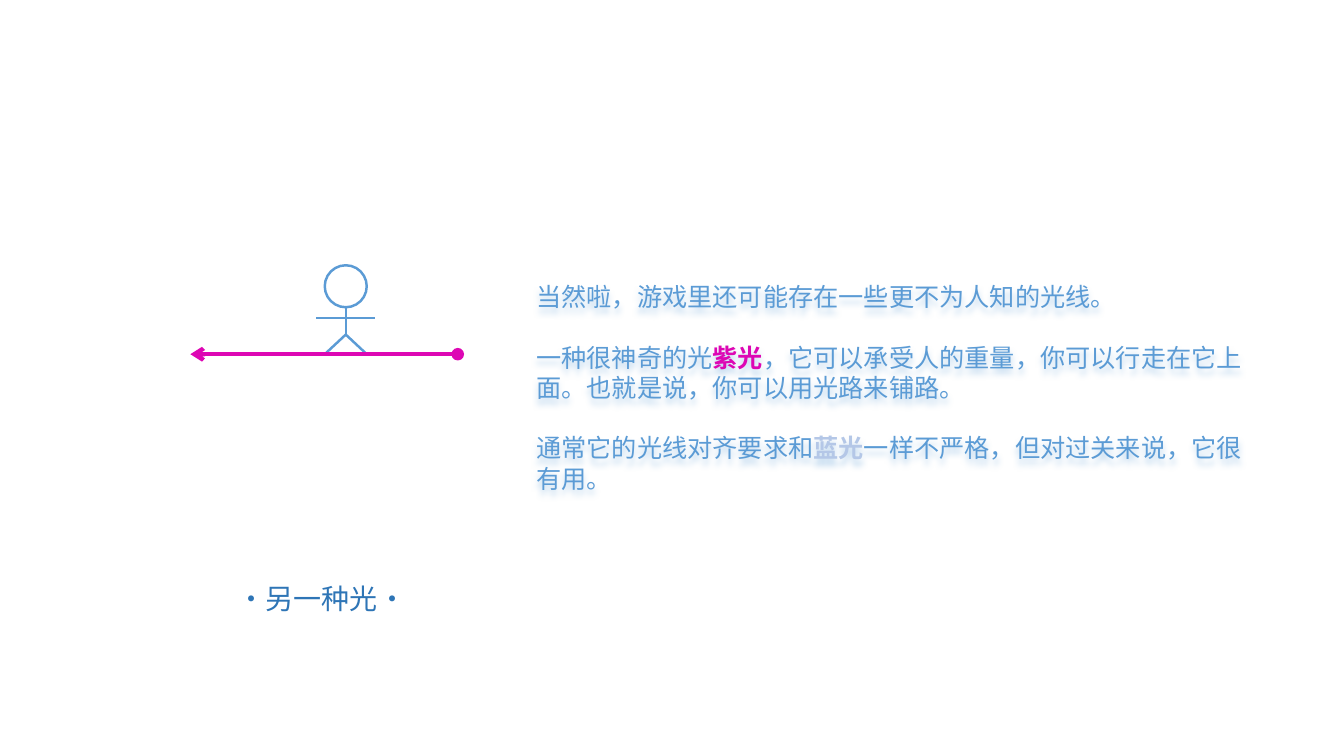
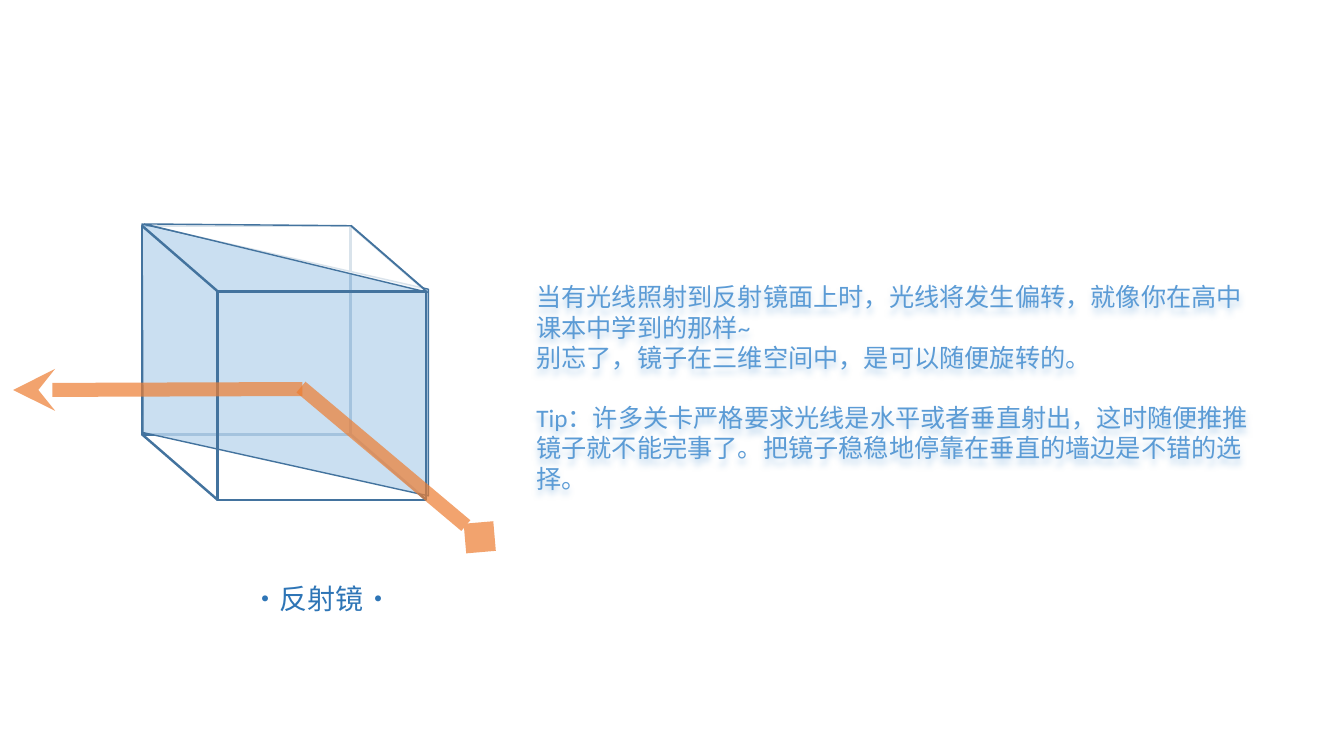
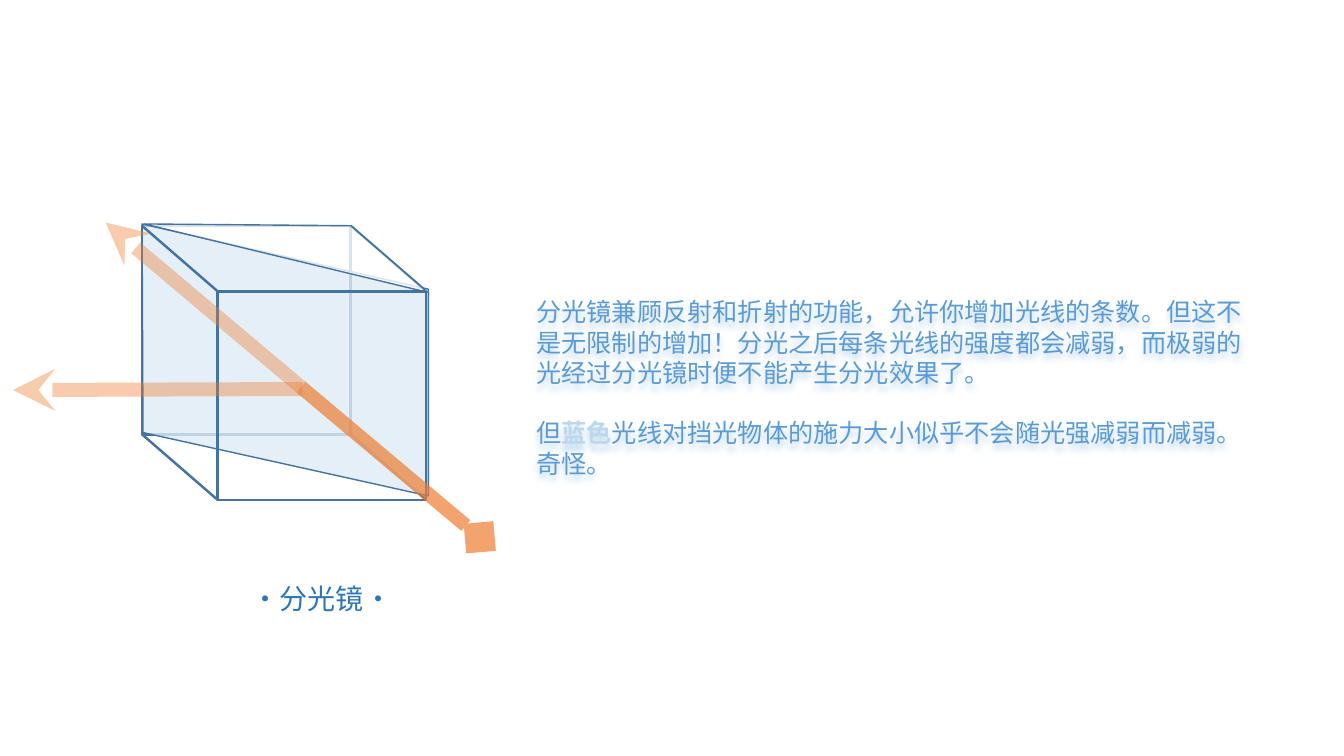
from pptx import Presentation
from pptx import util as u
from pptx.dml import color as col
from pptx.enum import shapes as sh, text as tx
from pptx.oxml import ns
from lxml import etree

Pt = u.Pt
HUES = {
    "text": "5B9BD5", "title": "2E75B6", "edge": "43739E", "white": "FFFFFF",
    "glass": "BDD7EE", "pale": "DEEBF7", "ray": "ED7D31", "pink": "DD07B4",
    "blue": "B4C7E7", "shade": "BDD7EE",
}
CALM, CJK = "Calibri", "Noto Sans CJK SC"
SIDE = 149
BACK = (101.5, 161.3)
SHIFT = (54, 46.8)
HIT = (215, 276.5)


def rgb(name):
    return col.RGBColor.from_string(HUES[name])


def node(root, tag, **attrs):
    return etree.SubElement(root, ns.qn(tag), attrs)


def fade(part, alpha):
    tint = next(part.iter(ns.qn("a:srgbClr")))
    node(tint, "a:alpha", val=str(alpha * 1000))


def paint(shape, fill, line, width, alpha=None):
    shape.shadow.inherit = False
    if fill:
        shape.fill.solid()
        shape.fill.fore_color.rgb = rgb(fill)
        if alpha:
            fade(shape.element.spPr.find(ns.qn("a:solidFill")), alpha)
    else:
        shape.fill.background()
    if line:
        shape.line.color.rgb = rgb(line)
        shape.line.width = Pt(width)
    else:
        shape.line.fill.background()


def block(slide, kind, x, y, w, h, fill=None, line=None, width=1.75):
    shape = slide.shapes.add_shape(kind, Pt(x), Pt(y), Pt(w), Pt(h))
    paint(shape, fill, line, width)
    return shape


def stroke(slide, start, end, hue, width=1.75, head=None, tail=None, alpha=None):
    line = slide.shapes.add_connector(
        sh.MSO_CONNECTOR.STRAIGHT, *map(Pt, start + end))
    line.line.color.rgb = rgb(hue)
    line.line.width = Pt(width)
    props = line.element.spPr
    ln = props.find(ns.qn("a:ln"))
    if alpha:
        fade(ln, alpha)
    for tag, tip in (("a:headEnd", head), ("a:tailEnd", tail)):
        if tip:
            node(ln, tag, type=tip)
    node(props, "a:effectLst")


def facet(slide, points, fill):
    spots = [(Pt(x), Pt(y)) for x, y in points]
    form = slide.shapes.build_freeform(*spots[0])
    form.add_line_segments(spots[1:], close=True)
    paint(form.convert_to_shape(), fill, "edge", 1, 80)


def style(run, size, face, hue, bold=False):
    font = run.font
    font.size, font.name, font.bold = Pt(size), face, bold
    font.color.rgb = rgb(hue)
    node(font._element, "a:ea", typeface=face)


def title(slide, words):
    box = slide.shapes.add_textbox(Pt(155.5), Pt(411), Pt(149), Pt(31.5))
    frame = box.text_frame
    frame.word_wrap = True
    frame.text = words
    para = frame.paragraphs[0]
    para.alignment = tx.PP_ALIGN.CENTER
    para.line_spacing = Pt(25)
    style(para.runs[0], 20, CJK, "title")


def panel(slide, paras):
    box = block(slide, sh.MSO_SHAPE.RECTANGLE, 376, 67.5, 533.5, 418.5)
    glow = node(box.element.spPr.find(ns.qn("a:effectLst")), "a:outerShdw",
                blurRad=str(Pt(4)), dist=str(Pt(4)), dir="5400000",
                algn="t", rotWithShape="0")
    node(glow, "a:srgbClr", val=HUES["shade"])
    frame = box.text_frame
    frame.word_wrap = True
    frame.vertical_anchor = tx.MSO_ANCHOR.MIDDLE
    for i, (gap, parts) in enumerate(paras):
        para = frame.add_paragraph() if i else frame.paragraphs[0]
        para.alignment = tx.PP_ALIGN.LEFT
        para.line_spacing = Pt(21.6)
        para.space_before = Pt(gap)
        for words, hue in parts:
            run = para.add_run()
            run.text = words
            style(run, 18, CALM, hue, hue != "text")


def person(slide, x, floor):
    block(slide, sh.MSO_SHAPE.OVAL, x - 15, floor - 63.5, 30, 30, "white", "text")
    neck, arms, hip = floor - 33.5, floor - 26, floor - 14
    for start, end in (((x - 21, arms), (x + 21, arms)),
                       ((x, neck), (x, hip)),
                       ((x, hip), (x - 15, floor)),
                       ((x, hip), (x + 15, floor))):
        stroke(slide, start, end, "text")


def cube(slide, glass):
    x, y = BACK
    dx, dy = SHIFT

    def face(left, top):
        block(slide, sh.MSO_SHAPE.RECTANGLE, left, top, SIDE, SIDE, line="edge")

    def edge(right, down):
        a, b = x + right * SIDE, y + down * SIDE
        stroke(slide, (a, b), (a + dx, b + dy), "edge")

    face(x, y)
    for corner in ((1, 0), (1, 1), (0, 1)):
        edge(*corner)
    facet(slide, [(101.5, 160), (306, 206.6), (306, 354.2), (102.2, 309)], glass)
    facet(slide, [(103, 160), (305.3, 208.8), (250.5, 161.3)], "white")
    face(x + dx, y + dy)
    edge(0, 0)


def beam(slide, start, end, alpha, **tips):
    stroke(slide, start, end, "ray", 10, alpha=alpha, **tips)


def mirror(slide, name, paras, glass, alpha):
    cube(slide, glass)
    panel(slide, paras)
    beam(slide, HIT, (342.7, 383.8), 70, tail="diamond")
    beam(slide, (9.4, 278.6), (216, 277.9), alpha, head="stealth")
    title(slide, name)


def main():
    deck = Presentation()
    deck.slide_width, deck.slide_height = Pt(960), Pt(540)
    first, second, third = [
        deck.slides.add_slide(deck.slide_layouts[6]) for _ in range(3)]

    panel(first, [
        (0, [("当然啦，游戏里还可能存在一些更不为人知的光线。", "text")]),
        (21.6, [("一种很神奇的光", "text"), ("紫光", "pink"),
                ("，它可以承受人的重量，你可以行走在它上面。也就是说，你可以用光路来铺路。", "text")]),
        (21.6, [("通常它的光线对齐要求和", "text"), ("蓝光", "blue"),
                ("一样不严格，但对过关来说，它很有用。", "text")]),
    ])
    title(first, "·另一种光·")
    person(first, 247, 253)
    stroke(first, (327, 253), (136, 253), "pink", 3, "oval", "arrow")

    mirror(second, "·反射镜·", [
        (0, [("当有光线照射到反射镜面上时，光线将发生偏转，就像你在高中课本中学到的那样~", "text")]),
        (0, [("别忘了，镜子在三维空间中，是可以随便旋转的。", "text")]),
        (21.6, [("Tip：许多关卡严格要求光线是水平或者垂直射出，这时随便推推镜子就不能完事了。"
                 "把镜子稳稳地停靠在垂直的墙边是不错的选择。", "text")]),
    ], "glass", 70)

    mirror(third, "·分光镜·", [
        (0, [("分光镜兼顾反射和折射的功能，允许你增加光线的条数。但这不是无限制的增加！"
              "分光之后每条光线的强度都会减弱，而极弱的光经过分光镜时便不能产生分光效果了。", "text")]),
        (21.6, [("但", "text"), ("蓝色", "glass"),
                ("光线对挡光物体的施力大小似乎不会随光强减弱而减弱。奇怪。", "text")]),
    ], "pale", 40)
    beam(third, HIT, (75.6, 159), 40, tail="stealth")

    deck.save("out.pptx")


if __name__ == "__main__":
    main()
